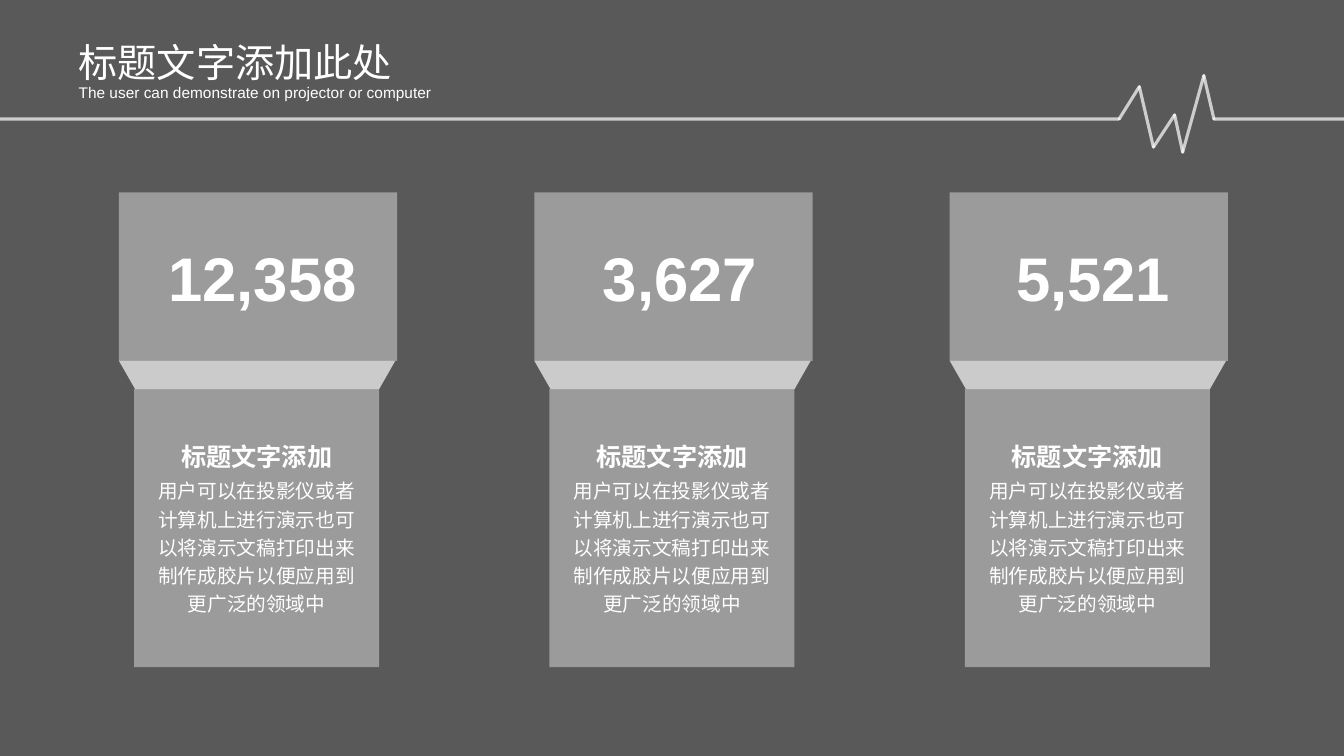
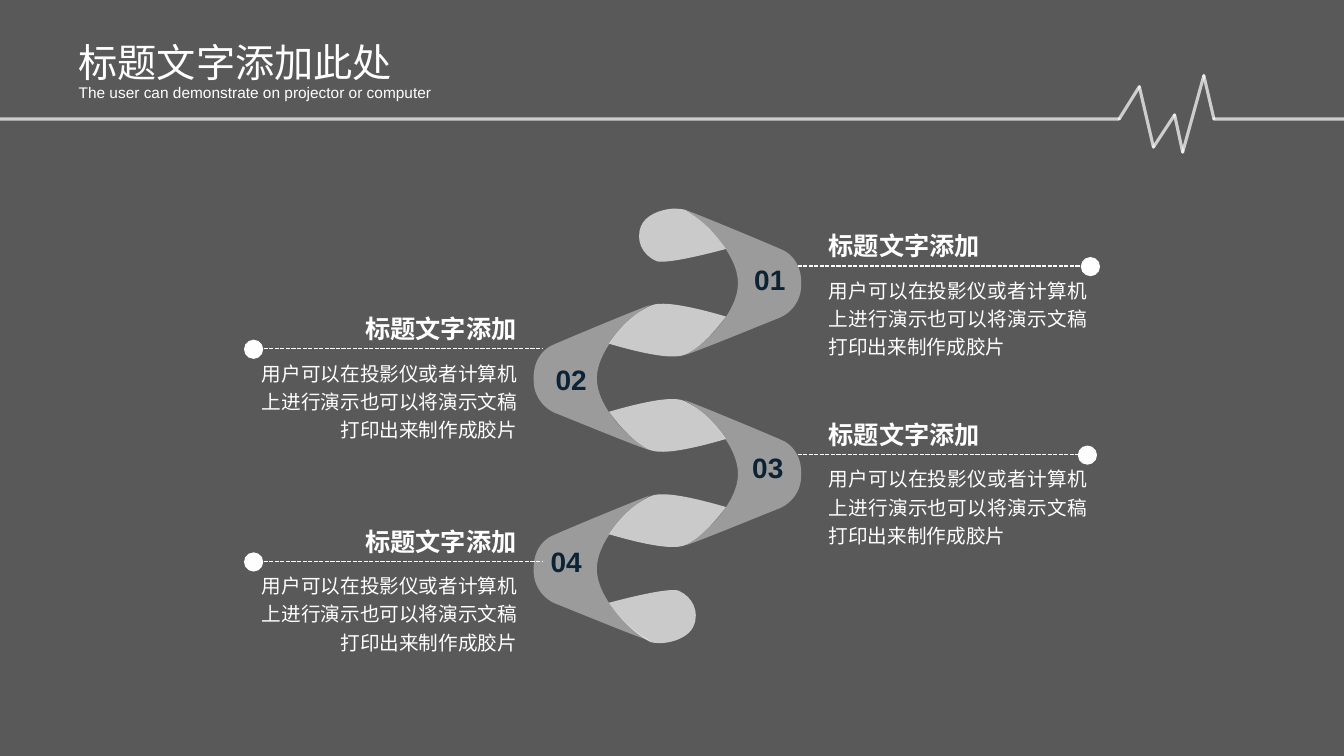
"""Build two grey slides: three figure cards and a four-step ribbon."""
from lxml.etree import SubElement
from pptx import Presentation
from pptx.dml.color import RGBColor as RGB
from pptx.enum.dml import MSO_LINE as DASH
from pptx.enum.shapes import MSO_CONNECTOR as CONN, MSO_SHAPE as SHAPE
from pptx.enum.text import MSO_ANCHOR as ANCHOR, MSO_AUTO_SIZE as FIT, PP_ALIGN as ALIGN
from pptx.oxml.ns import qn
from pptx.util import Inches, Pt

COLORS = {"black": "000000", "white": "FFFFFF", "ribbon": "FEFEFE", "navy": "0B2334"}
GROW = {"auto_size": FIT.SHAPE_TO_FIT_TEXT, "word_wrap": True}
FIXED = {"auto_size": FIT.NONE, "word_wrap": True}
NOWRAP = {"auto_size": FIT.SHAPE_TO_FIT_TEXT, "word_wrap": False}
LEFT = {"alignment": ALIGN.LEFT, "space_before": Pt(0)}
STYLES = {
    "title": (FIXED, LEFT, {"size": Pt(28), "bold": False}, "white"),
    "subtitle": (FIXED, {**LEFT, "line_spacing": 1.14}, {"size": Pt(11)}, "white"),
    "figure": (NOWRAP, LEFT, {"size": Pt(44), "bold": True}, "white"),
    "step": (NOWRAP, {"alignment": ALIGN.CENTER}, {"size": Pt(20), "bold": True}, "navy"),
    "heading": (GROW, {"line_spacing": 1.2}, {"size": Pt(18), "bold": True}, "white"),
    "body": (GROW, {"line_spacing": 1.2}, {"size": Pt(14)}, "white"),
}
HEADING = "标题文字添加"
STEP_TEXT = "用户可以在投影仪或者计算机上进行演示也可以将演示文稿打印出来制作成胶片"
CARD_TEXT = STEP_TEXT + "以便应用到更广泛的领域中"
HEADER = [
    ("title", "标题文字添加此处", (0.68, 0.33, 3.88, 0.57)),
    ("subtitle", "The user can demonstrate on projector or computer", (0.68, 0.75, 4.35, 0.3)),
]
PULSE = [(0, 1.18), (11.1, 1.18), (11.3, 0.86), (11.44, 1.46), (11.65, 1.14),
         (11.73, 1.51), (11.94, 0.75), (12.04, 1.18), (13.33, 1.18)]


def write(tf, text, style, align=None):
    frame, para, font, color = STYLES[style]
    tf.text = text
    p = tf.paragraphs[0]
    r = p.runs[0]
    para = {**para, "alignment": align} if align else para
    for target, values in ((tf, frame), (p, para), (r.font, {"name": "Arial", **font})):
        for name, value in values.items():
            setattr(target, name, value)
    r.font.color.rgb = RGB.from_string(COLORS[color])


def paint(sp, color, alpha=100, line=None):
    fill = sp.line.fill if line else sp.fill
    fill.solid()
    fill.fore_color.rgb = RGB.from_string(COLORS[color])
    if line:
        for name, value in line.items():
            setattr(sp.line, name, value)
        SubElement(sp._element.spPr, qn("a:effectLst"))
    else:
        sp.line.fill.background()
        sp.shadow.inherit = False
    if alpha < 100:
        for clr in sp._element.spPr.iter(qn("a:srgbClr")):
            SubElement(clr, qn("a:alpha"), val=str(alpha * 1000))


prs = Presentation()
prs.slide_width, prs.slide_height = Inches(13.33), Inches(7.5)
layout = prs.slide_layouts[2]
for ph, (_, _, box) in zip(layout.placeholders, HEADER):
    ph.left, ph.top, ph.width, ph.height = map(Inches, box)
    ph.text_frame.vertical_anchor = ANCHOR.TOP

for _ in range(2):
    s = prs.slides.add_slide(layout)
    for ph, (style, text, _) in zip(s.placeholders, HEADER):
        write(ph.text_frame, text, style)
    for start, end in zip(PULSE, PULSE[1:]):
        sp = s.shapes.add_connector(CONN.STRAIGHT, *map(Inches, start + end))
        paint(sp, "white", 70, {"width": Pt(2.25)})
        sp._element.spPr.find(qn("a:ln")).set("cap", "rnd")

cards, steps = prs.slides

backdrop = cards.shapes.add_shape(SHAPE.RECTANGLE, 0, 0, prs.slide_width, prs.slide_height)
paint(backdrop, "black", 65)
prs.slide_master.shapes._spTree.insert(2, backdrop._element)

for i, (figure, indent) in enumerate([("12,358", 0.39), ("3,627", 0.58), ("5,521", 0.56)]):
    x = 1.18 + 4.12 * i
    for kind, box, alpha in [
        (SHAPE.RECTANGLE, (x, 1.91, 2.76, 1.67), 40),
        (SHAPE.TRAPEZOID, (x, 3.58, 2.74, 0.28), 69),
        (SHAPE.RECTANGLE, (x + 0.15, 3.86, 2.43, 2.76), 40),
    ]:
        sp = cards.shapes.add_shape(kind, *map(Inches, box))
        paint(sp, "white", alpha)
        if kind == SHAPE.TRAPEZOID:
            sp.rotation = 180
            sp.adjustments[0] = 0.57
    for text, style, box, align in [
        (figure, "figure", (x + indent, 2.33, 2.09 if i == 0 else 1.75, 0.84), None),
        (CARD_TEXT, "body", (x + 0.27, 4.66, 2.19, 1.51), ALIGN.CENTER),
        (HEADING, "heading", (x + 0.14, 4.27, 2.45, 0.43), ALIGN.CENTER),
    ]:
        sp = cards.shapes.add_textbox(*map(Inches, box))
        write(sp.text_frame, text, style, align)

BAND = [(6.79, 2.08), (6.81, 2.08), (7.56, 2.39), (7.74, 2.47), (7.85, 2.51), (7.92, 2.61),
        (7.94, 2.72), (7.95, 2.78), (7.95, 2.84), (7.94, 2.9), (7.92, 3), (7.85, 3.1),
        (7.74, 3.15), (7.56, 3.22), (6.81, 3.53), (6.79, 3.52), (7, 3.42), (7.32, 3.09),
        (7.32, 2.81), (7.32, 2.53), (7, 2.19), (6.79, 2.08)]
FOLD = [(6.46, 3.03), (6.58, 2.98), (6.89, 3.05), (7.2, 3.14), (7.06, 3.33), (6.92, 3.46),
        (6.79, 3.52), (6.66, 3.57), (6.35, 3.5), (6.04, 3.41), (6.17, 3.22), (6.32, 3.09),
        (6.46, 3.03)]
CAP = [(6.67, 2.07), (6.71, 2.07), (6.75, 2.07), (6.79, 2.08), (6.93, 2.16), (7.07, 2.28),
       (7.2, 2.47), (6.94, 2.54), (6.59, 2.62), (6.51, 2.59), (6.37, 2.53), (6.3, 2.38),
       (6.36, 2.24), (6.4, 2.14), (6.54, 2.08), (6.67, 2.07)]
PITCH, MIRROR = 1.89, 13.24

pieces = [(BAND, 40, i % 2, 1, PITCH * i / 2) for i in range(4)]
pieces += [(FOLD, 69, i % 2, 1, PITCH * i / 2) for i in range(3)]
pieces += [(CAP, 69, False, 1, 0), (CAP, 69, True, -1, 8.45)]
for curve, alpha, flip, sign, shift in pieces:
    nodes = [(Inches(MIRROR - x if flip else x), Inches(sign * y + shift)) for x, y in curve]
    builder = steps.shapes.build_freeform(*nodes[0])
    builder.add_line_segments(nodes[1:], close=True)
    sp = builder.convert_to_shape()
    paint(sp, "ribbon", alpha)
    outline = next(sp._element.spPr.iter(qn("a:path")))
    lines = outline.findall(qn("a:lnTo"))
    for k in range(0, len(curve) - 1, 3):
        bezier = SubElement(outline, qn("a:cubicBezTo"))
        lines[k].addprevious(bezier)
        for ln in lines[k:k + 3]:
            bezier.append(ln[0])
            outline.remove(ln)

for number, number_x, number_y, y, dot_x in [
    ("01", 7.38, 2.56, 2.64, 10.72),
    ("02", 5.41, 3.55, 3.46, 2.42),
    ("03", 7.36, 4.42, 4.51, 10.69),
    ("04", 5.36, 5.35, 5.57, 2.42),
]:
    right = dot_x > 6
    x = 7.91 if right else 2.56
    sp = steps.shapes.add_connector(CONN.STRAIGHT, *map(Inches, (x, y, x + 2.83, y)))
    paint(sp, "ribbon", line={"width": Pt(1), "dash_style": DASH.SQUARE_DOT})
    sp = steps.shapes.add_shape(SHAPE.OVAL, *map(Inches, (dot_x, y - 0.09, 0.19, 0.19)))
    paint(sp, "ribbon")
    align = ALIGN.JUSTIFY if right else ALIGN.RIGHT
    for text, style, box, side in [
        (number, "step", (number_x, number_y, 0.51, 0.44), None),
        (STEP_TEXT, "body", (8.12 if right else 2.47, y + 0.03, 2.76, 0.95), align),
        (HEADING, "heading", (8.12 if right else 2.77, y - 0.46, 2.45, 0.43), align),
    ]:
        sp = steps.shapes.add_textbox(*map(Inches, box))
        write(sp.text_frame, text, style, side)

prs.save("out.pptx")
